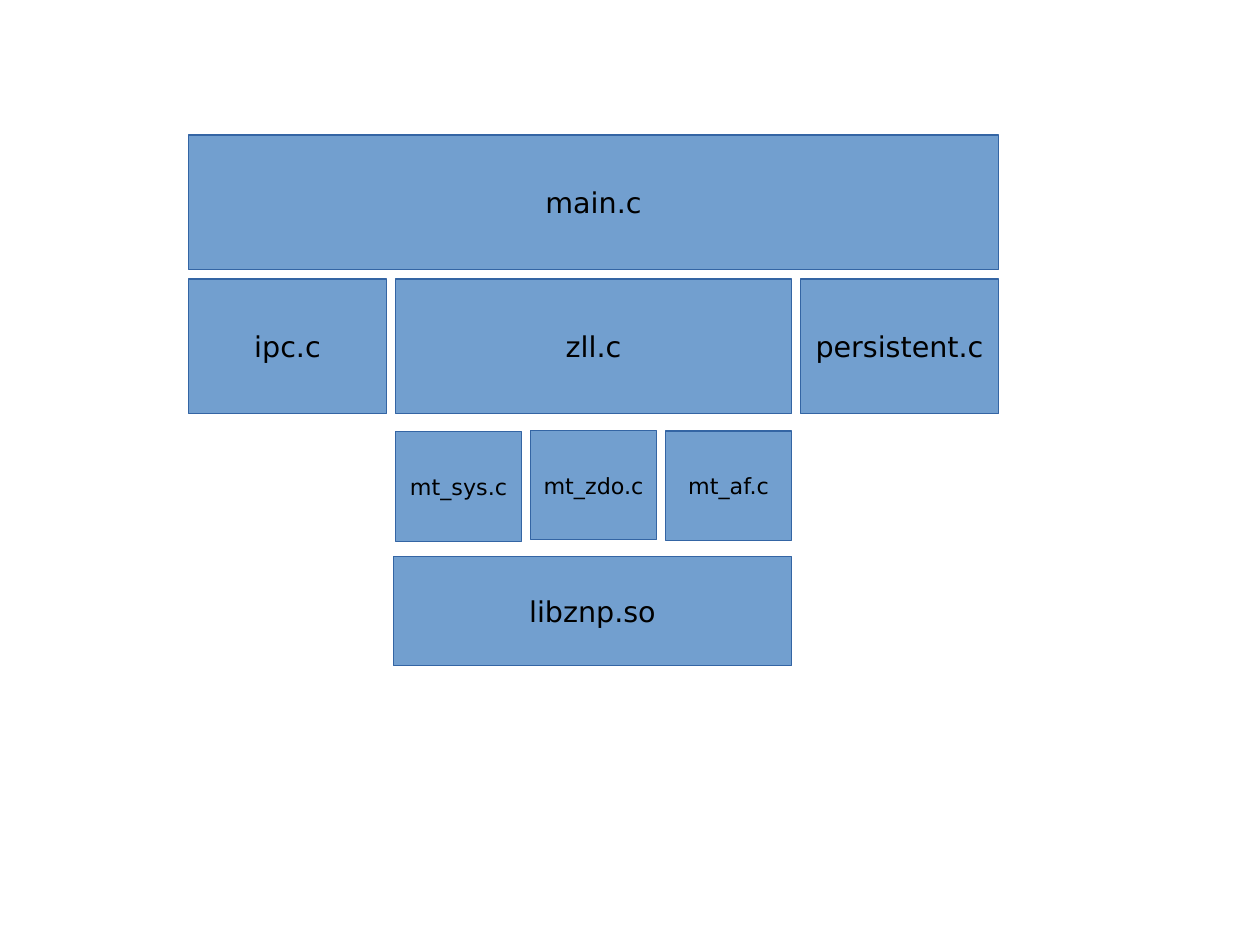
from dataclasses import dataclass

from pptx import Presentation
from pptx import util as u
from pptx.dml.color import RGBColor
from pptx.enum import shapes, text


SLIDE = (793.7, 595.28)
GAP = 5.67
ROWS = [
    {"left": 118.8, "height": 85.04, "size": "large",
     "modules": [("main.c", 85.04, 510.24)]},
    {"left": 118.8, "height": 85.04, "size": "large",
     "modules": [("ipc.c", 175.75, 124.72), ("zll.c", 175.75, 249.45),
                 ("persistent.c", 175.75, 124.72)]},
    {"left": 249.19, "height": 69, "size": "small",
     "modules": [("mt_sys.c", 272.1, 79.37), ("mt_zdo.c", 271.1, 79.37),
                 ("mt_af.c", 271.5, 79.37)]},
    {"left": 247.8, "height": 69, "size": "large",
     "modules": [("libznp.so", 350.5, 250.84)]},
]


@dataclass(frozen=True)
class Theme:
    fill: RGBColor = RGBColor.from_string("729FCF")
    border: RGBColor = RGBColor.from_string("3465A4")
    ink: RGBColor = RGBColor.from_string("000000")
    font: str = "DejaVu Sans"
    large: int = 18
    small: int = 14


THEME = Theme()


def write(frame, wording, *, size, color=THEME.ink, font=THEME.font):
    frame.word_wrap = False
    frame.vertical_anchor = text.MSO_ANCHOR.MIDDLE
    para = frame.paragraphs[0]
    para.alignment = text.PP_ALIGN.CENTER
    span = para.add_run()
    span.text = wording
    span.font.size = u.Pt(size)
    span.font.name = font
    span.font.color.rgb = color


def add_module(page, name, left, top, width, height, size):
    box = page.shapes.add_shape(shapes.MSO_SHAPE.RECTANGLE,
                                u.Pt(left), u.Pt(top), u.Pt(width), u.Pt(height))
    box.shadow.inherit = False
    box.fill.solid()
    box.fill.fore_color.rgb = THEME.fill
    box.line.color.rgb = THEME.border
    box.line.width = u.Pt(0)
    write(box.text_frame, name, size=size)


def main():
    deck = Presentation()
    deck.slide_width, deck.slide_height = map(u.Pt, SLIDE)
    page = deck.slides.add_slide(deck.slide_layouts.get_by_name("Blank"))
    for row in ROWS:
        left = row["left"]
        for name, top, width in row["modules"]:
            add_module(page, name, left, top, width, row["height"],
                       getattr(THEME, row["size"]))
            left += width + GAP
    deck.save("out.pptx")


if __name__ == "__main__":
    main()
